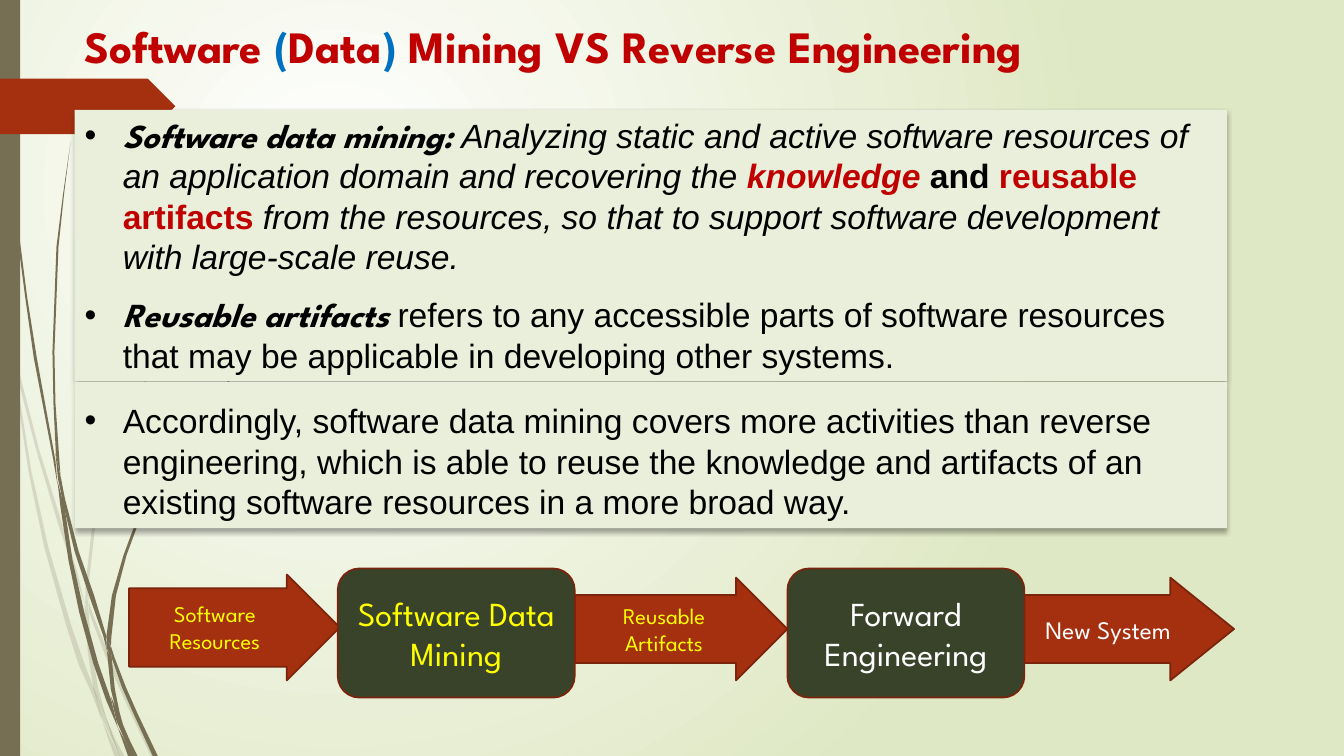
from lxml.etree import SubElement
from pptx import Presentation
from pptx.dml.color import RGBColor
from pptx.enum.shapes import MSO_SHAPE
from pptx.enum.text import MSO_ANCHOR, PP_ALIGN
from pptx.oxml.ns import qn
from pptx.util import Inches, Pt

OLIVE = RGBColor(0x76, 0x6F, 0x54)
RUST = RGBColor(0xA5, 0x30, 0x10)
RUST_EDGE = RGBColor(0x7A, 0x24, 0x0C)
PANEL = RGBColor(0xEA, 0xEF, 0xDB)
FOREST = RGBColor(0x39, 0x43, 0x2A)
CRIMSON = RGBColor(0xC0, 0x00, 0x00)
BLUE = RGBColor(0x00, 0x70, 0xC0)
YELLOW = RGBColor(0xFF, 0xFF, 0x00)
WHITE = RGBColor(0xFF, 0xFF, 0xFF)
BLACK = RGBColor(0x00, 0x00, 0x00)
PALE_GREEN = RGBColor(0xDF, 0xE8, 0xC4)

HEADING = {"name": "League Spartan", "size": Pt(32), "bold": True}
TERM = {"name": "League Spartan", "size": Pt(24), "bold": True, "italic": True}
BODY = {"name": "Arial", "size": Pt(24)}
QUOTE = BODY | {"italic": True}
STRONG = BODY | {"bold": True}

TITLE = [
    ("Software ", HEADING, CRIMSON),
    ("(", HEADING, BLUE),
    ("Data", HEADING, CRIMSON),
    (")", HEADING, BLUE),
    (" Mining VS Reverse Engineering", HEADING, CRIMSON),
]
DEFINITIONS = [
    [
        ("Software data mining: ", TERM, BLACK),
        ("Analyzing static and active software resources of an application "
         "domain and recovering the ", QUOTE, BLACK),
        ("knowledge ", QUOTE | STRONG, CRIMSON),
        ("and ", STRONG, BLACK),
        ("reusable artifacts ", STRONG, CRIMSON),
        ("from the resources, so that to support software development with "
         "large-scale reuse.", QUOTE, BLACK),
    ],
    [
        ("Reusable artifacts ", TERM, BLACK),
        ("refers to any accessible parts of software resources that may be "
         "applicable in developing other systems.", BODY, BLACK),
    ],
]
CONCLUSION = [[
    ("Accordingly, software data mining covers more activities than reverse "
     "engineering, which is able to reuse the knowledge and artifacts of an "
     "existing software resources in a more broad way.", BODY, BLACK),
]]
# top, height, top inset, paragraphs
PANELS = [(1.09, 2.69, 0.05, DEFINITIONS), (3.79, 1.45, 0.18, CONCLUSION)]

# label, text size, colour, left, top, width, height, arrow adjustments
ARROWS = [
    ("New System", 18, WHITE, 10.16, 5.73, 2.08, 1.02, (0.66, 0.62)),
    ("Reusable Artifacts", 16, YELLOW, 5.7, 5.73, 2.11, 1.02, (0.66, 0.5)),
    ("Software Resources", 16, YELLOW, 1.28, 5.7, 2.09, 1.05, (0.74, 0.5)),
]
STAGES = [("Software Data Mining", YELLOW, 3.35), ("Forward Engineering", WHITE, 7.81)]

# Grass blades: centre x, y and width along each blade
PALE_BLADES = [
    [(0, 2.82, 0), (0.02, 2.99, 0.03), (0.08, 3.3, 0.02), (0.11, 3.5, 0)],
    [(0.14, 3.45, 0), (0.17, 3.67, 0.03), (0.37, 4.45, 0.03), (0.6, 5.21, 0.04),
     (0.75, 5.67, 0.03), (0.84, 5.99, 0)],
    [(0.88, 5.96, 0), (0.9, 6.08, 0.03), (1.07, 6.52, 0.04), (1.25, 6.93, 0.04), (1.52, 7.5, 0.05)],
    [(1.05, 7.11, 0), (1.12, 7.31, 0.02), (1.21, 7.5, 0.05)],
    [(0.11, 3.5, 0), (0.16, 3.8, 0.02), (0.3, 4.69, 0.03), (0.46, 5.43, 0.04), (0.68, 6.2, 0.05),
     (0.81, 6.59, 0.06), (0.93, 6.88, 0.04), (1.01, 7.14, 0)],
    [(0.84, 5.99, 0), (0.86, 6.1, 0.04), (0.89, 6.46, 0.04), (0.95, 6.83, 0.05), (1.05, 7.11, 0)],
    [(3.12, 1.53, 0), (2.9, 1.75, 0.01), (2.68, 1.98, 0.01), (2.28, 2.45, 0.02), (1.91, 2.94, 0.02),
     (1.59, 3.49, 0.02), (1.31, 4.03, 0.03), (1.09, 4.62, 0.03), (0.93, 5.21, 0.03),
     (0.86, 5.84, 0.03), (0.88, 5.96, 0)],
    [(1.01, 7.14, 0), (1.07, 7.29, 0.02), (1.16, 7.5, 0.05)],
    [(0.85, 5.86, 0), (0.86, 5.98, 0.03), (0.88, 6.1, 0)],
    [(0.93, 6.83, 0), (1.02, 7.09, 0.05), (1.19, 7.5, 0)],
]
DARK_BLADES = [
    [(0.04, 0, 0.01), (0.05, 0.48, 0.01), (0.08, 1.1, 0.01), (0.18, 2.33, 0.02),
     (0.26, 2.95, 0.02), (0.35, 3.55, 0.03), (0.54, 4.57, 0.02), (0.57, 4.81, 0)],
    [(0.6, 4.72, 0), (0.63, 4.95, 0.03), (0.76, 5.47, 0.04), (0.91, 5.91, 0.05),
     (1.04, 6.31, 0.03), (1.06, 6.45, 0)],
    [(1.1, 6.41, 0), (1.12, 6.52, 0.03), (1.23, 6.82, 0.04), (1.34, 7.07, 0.04), (1.54, 7.5, 0.05)],
    [(0.57, 4.77, 0), (0.62, 5.03, 0.04), (0.7, 5.56, 0.04), (0.81, 6.07, 0.05),
     (0.95, 6.58, 0.05), (1.08, 6.95, 0.05), (1.17, 7.22, 0)],
    [(0.7, 1.41, 0), (0.63, 1.93, 0.01), (0.57, 2.45, 0.02), (0.53, 3.49, 0.02),
     (0.54, 4, 0.02), (0.57, 4.51, 0.03), (0.6, 4.72, 0)],
    [(1.22, 7.19, 0), (1.28, 7.35, 0.02), (1.35, 7.5, 0.03)],
    [(0.55, 4.49, 0), (0.59, 4.75, 0.03), (0.64, 5.05, 0)],
    [(2.6, 3.44, 0), (2.31, 3.73, 0.01), (2.04, 4.06, 0.02), (1.79, 4.38, 0.02), (1.57, 4.75, 0.02),
     (1.38, 5.13, 0.03), (1.24, 5.51, 0.03), (1.13, 5.91, 0.04), (1.08, 6.32, 0.05), (1.1, 6.41, 0)],
    [(1.17, 7.22, 0), (1.22, 7.33, 0.02), (1.29, 7.5, 0.04)],
    [(1.06, 6.45, 0), (1.09, 6.54, 0.04), (1.12, 6.84, 0.04), (1.17, 7.06, 0.03), (1.22, 7.19, 0)],
    [(1.06, 6.31, 0), (1.08, 6.43, 0.04), (1.11, 6.56, 0)],
    [(1.1, 6.91, 0), (1.18, 7.15, 0.05), (1.32, 7.5, 0.03)],
]


def paint(shape, colour, edge=None):
    shape.shadow.inherit = False
    shape.fill.solid()
    shape.fill.fore_color.rgb = colour
    shape.line.fill.background()
    if edge is not None:
        shape.line.color.rgb = edge
        shape.line.width = Pt(1.25)


def add_block(kind, box, colour, edge=None):
    block = slide.shapes.add_shape(kind, *map(Inches, box))
    paint(block, colour, edge)
    return block


def add_runs(paragraph, runs):
    for words, style, colour in runs:
        run = paragraph.add_run()
        run.text = words
        run.font.color.rgb = colour
        for key, value in style.items():
            setattr(run.font, key, value)


def add_label(block, words, size, colour):
    block.text_frame.vertical_anchor = MSO_ANCHOR.MIDDLE
    paragraph = block.text_frame.paragraphs[0]
    paragraph.alignment = PP_ALIGN.CENTER
    add_runs(paragraph, [(words, {"name": "League Spartan", "size": Pt(size)}, colour)])


def add_blade(knots, alpha):
    left_edge, right_edge = (
        [(Inches(x + side * w / 2), Inches(y)) for x, y, w in knots] for side in (-1, 1))
    outline = left_edge + right_edge[::-1]
    builder = slide.shapes.build_freeform(*outline[0])
    builder.add_line_segments(outline[1:], close=True)
    blade = builder.convert_to_shape()
    paint(blade, OLIVE)
    tint = blade.element.spPr.find(f".//{qn('a:srgbClr')}")
    SubElement(tint, qn("a:alpha"), val=str(alpha * 1000))


deck = Presentation()
deck.slide_width, deck.slide_height = Inches(13.33), Inches(7.5)
slide = deck.slides.add_slide(deck.slide_layouts[6])

backdrop = slide.background.fill
backdrop.gradient()
for stop, colour in zip(backdrop.gradient_stops, (WHITE, PALE_GREEN)):
    stop.color.rgb = colour
gradient = slide.element.find(f".//{qn('a:gradFill')}")
gradient.remove(gradient.find(qn("a:lin")))
glow = SubElement(gradient, qn("a:path"), {"path": "circle"})
SubElement(glow, qn("a:fillToRect"), l="50000", t="50000", r="100000", b="100000")

for blades, alpha in ((PALE_BLADES, 20), (DARK_BLADES, 100)):
    for knots in blades:
        add_blade(knots, alpha)
add_block(MSO_SHAPE.RECTANGLE, (0, 0, 0.2, 7.5), OLIVE)
add_block(MSO_SHAPE.PENTAGON, (0, 0.78, 1.74, 0.55), RUST)

for top, height, inset, paragraphs in PANELS:
    panel = add_block(MSO_SHAPE.RECTANGLE, (0.74, top, 11.43, height), PANEL)
    shadow = SubElement(panel.element.spPr.find(qn("a:effectLst")), qn("a:outerShdw"),
                        blurRad=str(Pt(3.5)), dist=str(Pt(2.2)), dir="5400000")
    SubElement(SubElement(shadow, qn("a:srgbClr"), val=str(BLACK)), qn("a:alpha"), val="32000")
    frame = panel.text_frame
    frame.vertical_anchor = MSO_ANCHOR.TOP
    frame.margin_top = Inches(inset)
    for index, runs in enumerate(paragraphs):
        paragraph = frame.add_paragraph() if index else frame.paragraphs[0]
        paragraph.alignment = PP_ALIGN.LEFT
        paragraph.space_before = Pt(13 if index else 0)
        bullet = paragraph._p.get_or_add_pPr()
        bullet.set("marL", str(Inches(0.38)))
        bullet.set("indent", str(Inches(-0.38)))
        SubElement(bullet, qn("a:buFont"), typeface="Arial")
        SubElement(bullet, qn("a:buChar"), char="•")
        add_runs(paragraph, runs)

title = slide.shapes.add_textbox(*map(Inches, (0.74, 0.14, 11.19, 0.64)))
title.text_frame.word_wrap = True
add_runs(title.text_frame.paragraphs[0], TITLE)

for words, size, colour, *box, adjustments in ARROWS:
    arrow = add_block(MSO_SHAPE.RIGHT_ARROW, box, RUST, RUST_EDGE)
    for index, value in enumerate(adjustments):
        arrow.adjustments[index] = value
    add_label(arrow, words, size, colour)
for words, colour, left in STAGES:
    stage = add_block(MSO_SHAPE.ROUNDED_RECTANGLE, (left, 5.64, 2.35, 1.28), FOREST, RUST_EDGE)
    add_label(stage, words, 24, colour)

deck.save("out.pptx")
